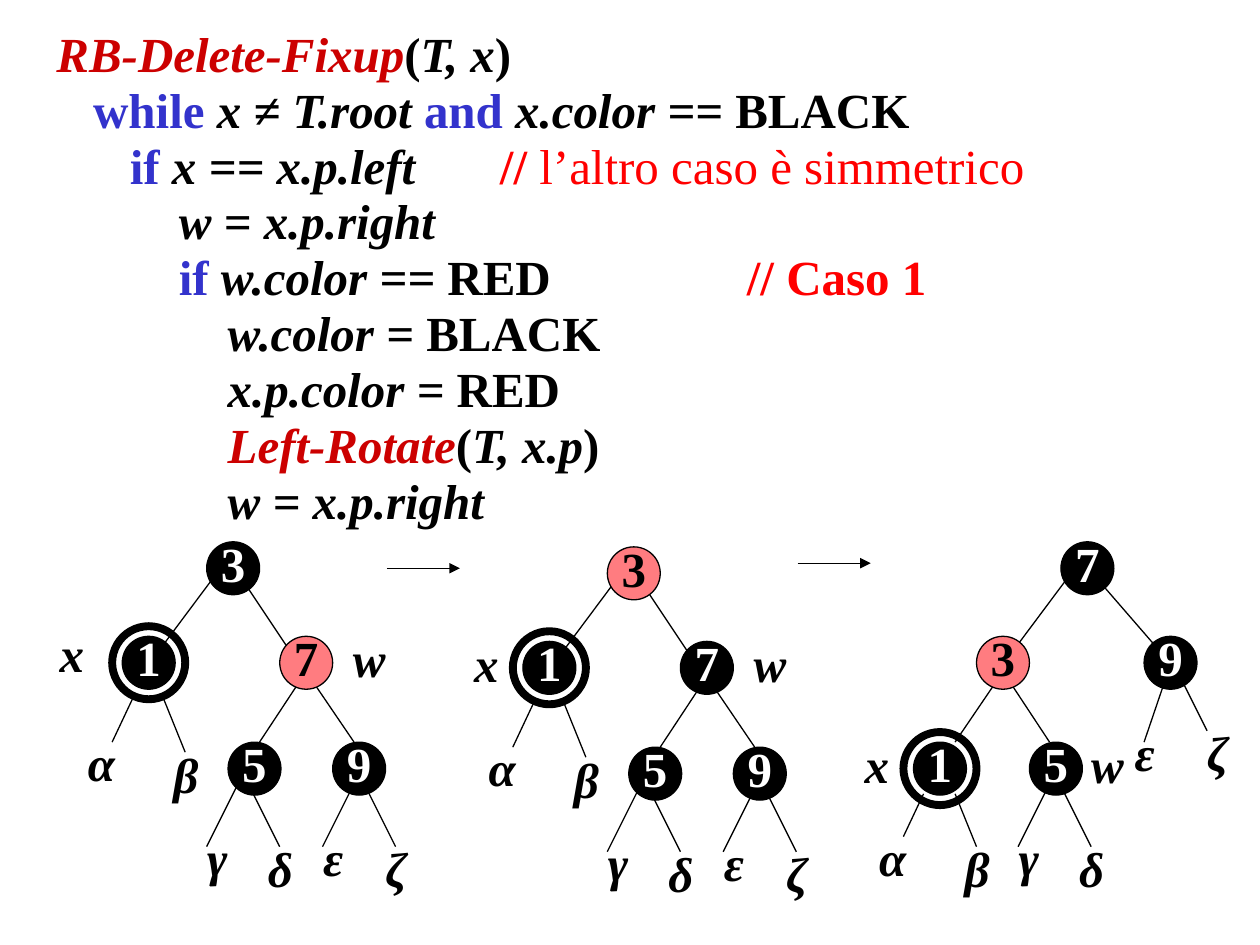
from pptx import Presentation
from pptx.dml.color import RGBColor
from pptx.enum.shapes import MSO_CONNECTOR as Connector, MSO_SHAPE as Shape
from pptx.enum.text import MSO_ANCHOR as Anchor, PP_ALIGN as Align
from pptx.oxml.ns import qn
from pptx.util import Inches, Pt
from lxml.etree import SubElement

FONT = "Times New Roman"
BLACK, WHITE, PINK = "000000", "FFFFFF", "FF7C80"
NODE, RING = 0.42, 0.58

STYLES = {
    "call": ("CC0000", True, True),
    "plain": (BLACK, True, False),
    "variable": (BLACK, True, True),
    "keyword": ("3333CC", True, False),
    "comment": ("FF0000", True, False),
    "remark": ("FF0000", False, False),
}

CODE = [
    [("RB-Delete-Fixup", "call"), ("(", "plain"), ("T, x", "variable"), (")", "plain")],
    [("   while ", "keyword"), ("x ≠ T.root ", "variable"), ("and ", "keyword"),
     ("x.color == ", "variable"), ("BLACK", "plain")],
    [("      if ", "keyword"), ("x == x.p.left\t", "variable"), ("// ", "comment"),
     ("l’altro caso è simmetrico", "remark")],
    [("          ", "plain"), ("w = x.p.right", "variable")],
    [("          ", "plain"), ("if ", "keyword"), ("w.color == ", "variable"),
     ("RED\t", "plain"), ("// Caso 1", "comment")],
    [("              ", "plain"), ("w.color = ", "variable"), ("BLACK", "plain")],
    [("              ", "plain"), ("x.p.color =", "variable"), (" RED", "plain")],
    [("              ", "plain"), ("Left-Rotate", "call"), ("(", "plain"),
     ("T, x.p", "variable"), (")", "plain")],
    [("              ", "plain"), ("w = x.p.right", "variable")],
]
COMMENT_TABS = {2: 3.52, 4: 5.48}

BEFORE = {
    "nodes": {"1": (0.69, 0.75), "7": (1.94, 0.75), "3": (1.36, 0),
              "5": (1.53, 1.59), "9": (2.36, 1.59)},
    "branches": [("3", (0.08, 0.25), "1", (0.25, 0.17)),
                 ("3", (0.25, 0.25), "7", (0.17, 0.25)),
                 ("7", (0.17, 0.34), "5", (0.25, 0)),
                 ("7", (0.25, 0.34), "9", (0.17, 0))],
    "leaves": [("5", "γδ", 0.08), ("9", "εζ", 0.17)],
    "doubled_drop": 0.09,
    "w": ("7", 0.42),
}
AFTER = {
    "nodes": {"1": (0.58, 1.59), "7": (1.75, 0), "3": (1.08, 0.75),
              "5": (1.5, 1.59), "9": (2.41, 0.75)},
    "branches": [("7", (0.08, 0.25), "3", (0.25, 0.17)),
                 ("7", (0.25, 0.25), "9", (0.17, 0.17)),
                 ("3", (0.17, 0.34), "1", (0.33, 0)),
                 ("3", (0.25, 0.34), "5", (0.16, 0))],
    "leaves": [("5", "γδ", 0.16)],
    "doubled_drop": 0,
    "w": ("5", 0.33),
}


def color(value):
    return RGBColor.from_string(value)


def add_span(para, text, value, bold=True, italic=False):
    span = para.add_run()
    span.text = text
    font = span.font
    font.name, font.size, font.bold, font.italic = FONT, Pt(28), bold, italic
    font.color.rgb = color(value)


def add_centered(box, text, value, italic=False, spacing=None):
    frame = box.text_frame
    frame.word_wrap = False
    frame.vertical_anchor = Anchor.MIDDLE
    para = frame.paragraphs[0]
    para.alignment = Align.CENTER
    if spacing:
        para.line_spacing = spacing
    add_span(para, text, value, italic=italic)


def add_label(group, text, left, top, width=0.67):
    box = group.shapes.add_textbox(Inches(left), Inches(top), Inches(width), Inches(0.5))
    add_centered(box, text, BLACK, italic=True)


def add_line(group, start, end, arrow=False):
    line = group.shapes.add_connector(Connector.STRAIGHT, *map(Inches, start + end))
    line.line.color.rgb = color(BLACK)
    line.line.width = Pt(0.75)
    properties = line._element.spPr
    if arrow:
        SubElement(properties.find(qn("a:ln")), qn("a:tailEnd"), type="triangle")
    SubElement(properties, qn("a:effectLst"))


def add_circle(group, left, top, size, fill=None, weight=0.75):
    circle = group.shapes.add_shape(
        Shape.OVAL, Inches(left), Inches(top), Inches(size), Inches(size))
    circle.shadow.inherit = False
    if fill:
        circle.fill.solid()
        circle.fill.fore_color.rgb = color(fill)
    else:
        circle.fill.background()
    circle.line.color.rgb = color(BLACK)
    circle.line.width = Pt(weight)
    return circle


def shift(point, offset):
    return point[0] + offset[0], point[1] + offset[1]


def draw_code(page, left, top, width, height):
    box = page.shapes.add_textbox(*map(Inches, (left, top, width, height)))
    frame = box.text_frame
    frame.word_wrap = True
    for index, spans in enumerate(CODE):
        para = frame.add_paragraph() if index else frame.paragraphs[0]
        para.line_spacing = 0.95
        if index in COMMENT_TABS:
            tabs = SubElement(para._p.get_or_add_pPr(), qn("a:tabLst"))
            SubElement(tabs, qn("a:tab"), pos=str(Inches(COMMENT_TABS[index])), algn="l")
        for text, style in spans:
            add_span(para, text, *STYLES[style])


def draw_leaves(group, node, letters, inset):
    for letter, start, end, label in zip(
            letters, (inset, inset + 0.08), (inset - 0.25, inset + 0.33),
            ((inset - 0.5, 0.66), (inset, 0.75))):
        add_line(group, shift(node, (start, 0.33)), shift(node, (end, 0.83)))
        add_label(group, letter, *shift(node, label))


def draw_doubled_leaves(group, node, drop):
    for letter, start, end, label in (
            ("α", (0.08, 0.41), (-0.08, 0.75), (-0.5, 0.66)),
            ("β", (0.33, 0.41), (0.5, 0.83), (0.17, 0.75))):
        origin = shift(node, (0, drop))
        add_line(group, shift(origin, start), shift(origin, end))
        add_label(group, letter, *shift(origin, label))


def draw_right_leaves(group, node):
    for letter, start, end, label in (
            ("ε", (0.17, 0.34), (0, 0.84), -0.33),
            ("ζ", (0.25, 0.25), (0.5, 0.75), 0.25)):
        add_line(group, shift(node, start), shift(node, end))
        add_label(group, letter, *shift(node, (label, 0.67)))


def draw_tree(page, left, top, tree, red, x_offset=(-0.58, -0.08)):
    group = page.shapes.add_group_shape()
    nodes = {key: shift((left, top), spot) for key, spot in tree["nodes"].items()}
    for parent, start, child, end in tree["branches"]:
        add_line(group, shift(nodes[parent], start), shift(nodes[child], end))
    draw_doubled_leaves(group, nodes["1"], tree["doubled_drop"])
    for key, letters, inset in tree["leaves"]:
        draw_leaves(group, nodes[key], letters, inset)
    if tree is AFTER:
        draw_right_leaves(group, nodes["9"])
    for key, spot in nodes.items():
        circle = add_circle(group, *spot, NODE, PINK if key == red else BLACK)
        add_centered(circle, key, BLACK if key == red else WHITE, spacing=0.8)
    add_circle(group, *shift(nodes["1"], (-0.08, -0.08)), RING, weight=4.5)
    sibling, w_offset = tree["w"]
    add_label(group, "x", *shift(nodes["1"], x_offset), width=0.58)
    add_label(group, "w", *shift(nodes[sibling], (w_offset, -0.08)), width=0.58)


def main():
    deck = Presentation()
    deck.slide_width, deck.slide_height = Inches(10), Inches(7.5)
    page = deck.slides.add_slide(deck.slide_layouts[6])
    draw_code(page, 0.35, 0.17, 9.14, 4.13)
    draw_tree(page, 0.28, 4.3, BEFORE, "7", x_offset=(-0.69, -0.12))
    draw_tree(page, 3.46, 4.34, BEFORE, "3")
    draw_tree(page, 6.67, 4.3, AFTER, "3")
    for left, top in ((3.07, 4.51), (6.33, 4.47)):
        add_line(page, (left, top), (left + 0.58, top), arrow=True)
    deck.save("out.pptx")


if __name__ == "__main__":
    main()
